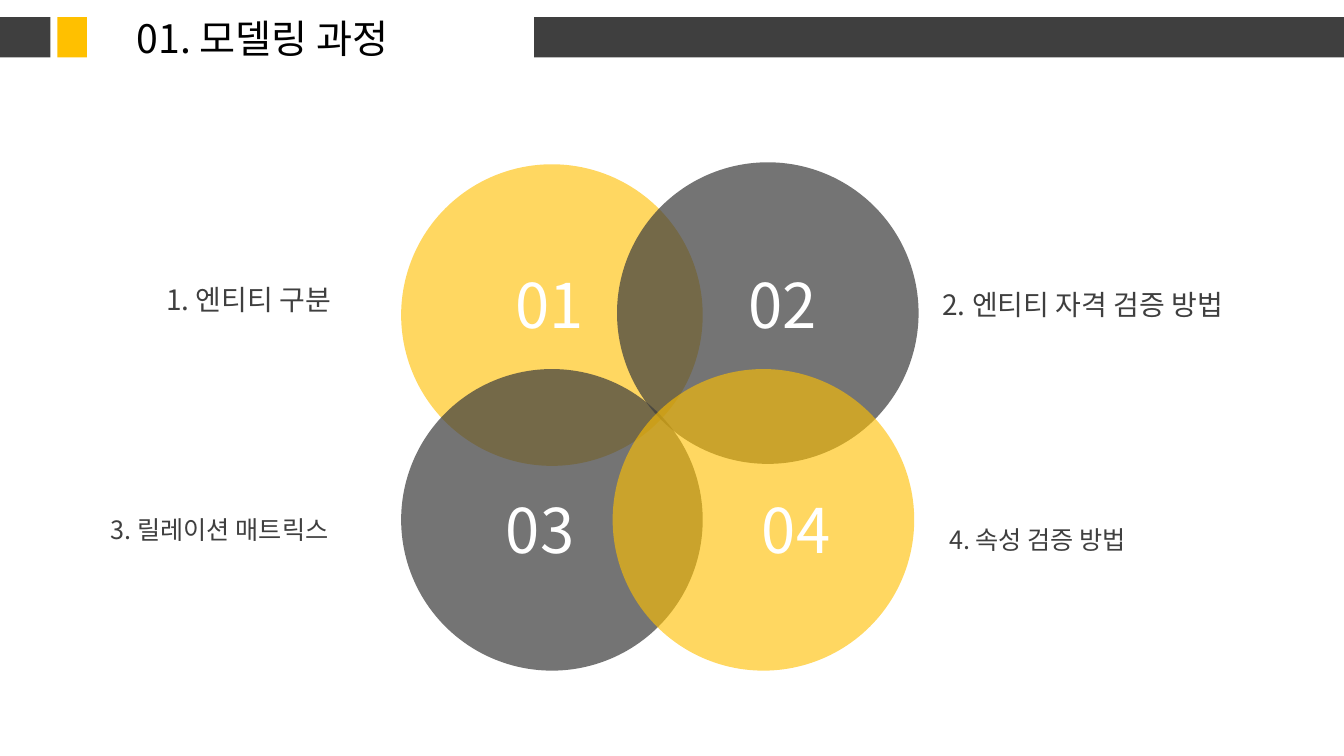
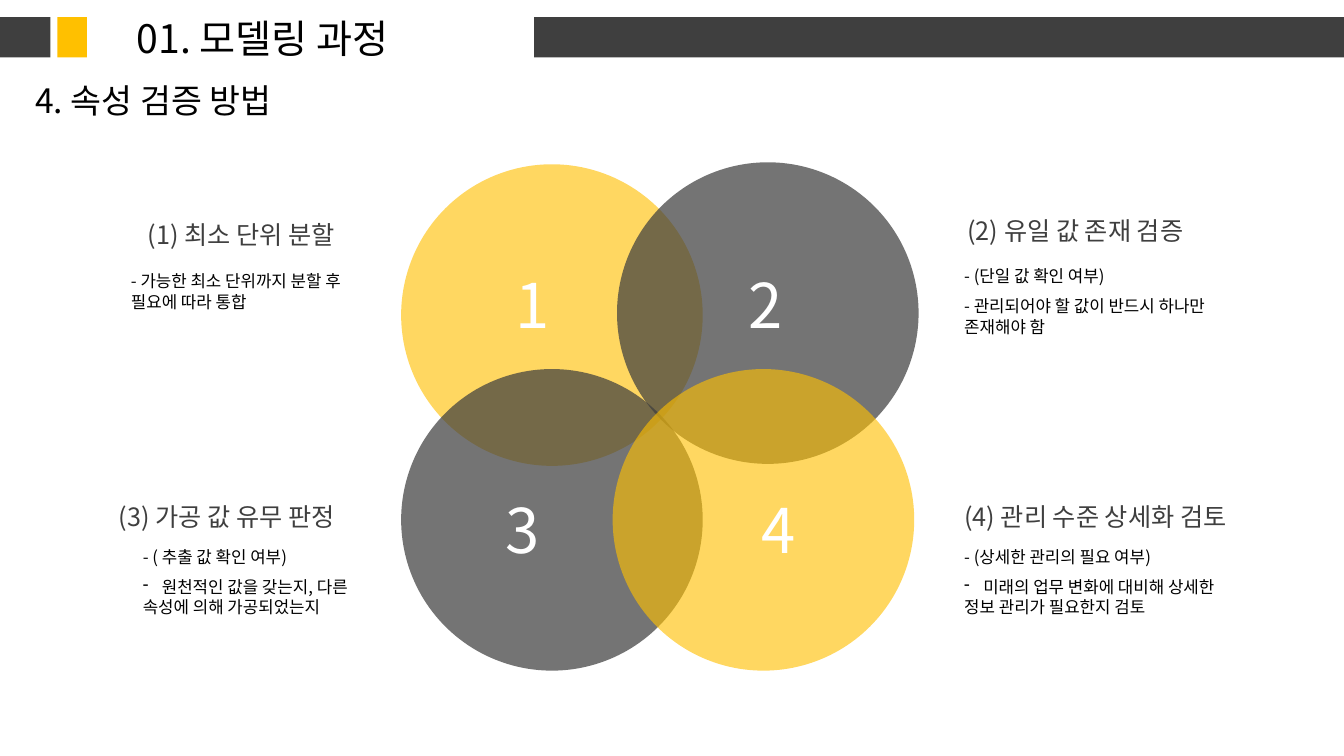
"""Build the two modeling process slides."""
from lxml.etree import SubElement
from pptx import Presentation
from pptx.dml.color import RGBColor
from pptx.enum.shapes import MSO_SHAPE
from pptx.enum.text import MSO_AUTO_SIZE, PP_ALIGN
from pptx.oxml.ns import qn
from pptx.util import Cm, Pt

FONT = "Noto Sans CJK KR"
DARK, GOLD, BLACK, WHITE = "3F3F3F", "FFC000", "000000", "FFFFFF"
SLIDE_WIDTH, SLIDE_HEIGHT = 33.87, 19.05
TITLE = "01. 모델링 과정"

STYLES = {
    "title": {"size": 28, "color": BLACK},
    "subtitle": {"size": 24, "color": BLACK},
    "number": {"size": 44, "color": WHITE},
    "label": {"size": 20, "color": DARK, "outlined": True},
    "heading": {"size": 18, "color": DARK, "outlined": True},
    "note": {"size": 12, "color": BLACK, "outlined": True},
}

BAND_TOP, BAND_HEIGHT = 0.43, 1.02
BANDS = [(13.46, 20.41, DARK), (0, 1.27, DARK), (1.45, 0.74, GOLD)]

VENN_BOX = (10.11, 4.09)
DIAMETER = 7.6
CIRCLES = [
    ((0, 0.05), (2.62, 2.51), GOLD, 62),
    ((5.44, 0), (8.51, 2.51), DARK, 72),
    ((0, 5.21), (2.39, 8.18), DARK, 72),
    ((5.33, 5.21), (8.84, 8.18), GOLD, 62),
]

LABELS = [
    ((23.5, 7.11, 8.81, 1.12), "2. 엔티티 자격 검증 방법", "label"),
    ((23.67, 13.08, 5.87, 1.02), "4. 속성 검증 방법", "heading"),
    ((3.94, 6.99, 5.26, 1.12), "1. 엔티티 구분", "label"),
    ((2.54, 12.83, 6.71, 1.02), "3. 릴레이션 매트릭스", "heading"),
]

NOTE_STEP, NOTE_LINE = 0.76, 0.51
TOPICS = [
    ((24.13, 5.31, 6.83), "(2) 유일 값 존재 검증", (-0.08, 1.27), [
        (4.75, ["- (단일 값 확인 여부)"], False),
        (7.49, ["- 관리되어야 할 값이 반드시 하나만", "존재해야 함"], False)]),
    ((24.05, 12.5, 8.13), "(4) 관리 수준 상세화 검토", (0, 1.14), [
        (6.05, ["- (상세한 관리의 필요 여부)"], False),
        (7.54, ["미래의 업무 변화에 대비해 상세한", "정보 관리가 필요한지 검토"], True)]),
    ((3.48, 5.41, 5.99), "(1) 최소 단위 분할", (-0.43, 1.3), [
        (6.63, ["- 가능한 최소 단위까지 분할 후", "필요에 따라 통합"], False)]),
    ((2.74, 12.5, 6.83), "(3) 가공 값 유무 판정", (0.61, 1.14), [
        (4.9, ["- ( 추출 값 확인 여부)"], False),
        (6.43, ["원천적인 값을 갖는지, 다른", "속성에 의해 가공되었는지"], True)]),
]


def rgb(hex_color):
    """Return the colour for a hex string."""
    return RGBColor.from_string(hex_color)


def add_panel(slide, kind, box, color, opacity=100):
    """Add a plain filled shape, see-through below 100 percent opacity."""
    panel = slide.shapes.add_shape(kind, *map(Cm, box))
    panel.shadow.inherit = False
    panel.line.fill.background()
    panel.fill.solid()
    panel.fill.fore_color.rgb = rgb(color)
    if opacity < 100:
        srgb = panel.fill._xPr.find(".//" + qn("a:srgbClr"))
        SubElement(srgb, qn("a:alpha"), val=str(opacity * 1000))


def outline_run(properties):
    """Give a run a faint dark outline."""
    outline = SubElement(properties, qn("a:ln"), w=str(Pt(0.75)))
    properties.insert(0, outline)
    fill = SubElement(outline, qn("a:solidFill"))
    srgb = SubElement(fill, qn("a:srgbClr"), val=DARK)
    SubElement(srgb, qn("a:alpha"), val="15000")


def add_dash(paragraph):
    """Give a paragraph a hanging dash bullet."""
    properties = paragraph._p.get_or_add_pPr()
    for key, value in {"marL": Cm(0.48), "indent": -Cm(0.48)}.items():
        properties.set(key, str(value))
    SubElement(properties, qn("a:buFontTx"))
    SubElement(properties, qn("a:buChar"), char="-")


def add_text(slide, box, lines, style, dashed=False):
    """Write lines in one style, the first with a dash if asked."""
    look = STYLES[style]
    frame = slide.shapes.add_textbox(*map(Cm, box)).text_frame
    for key, value in {"word_wrap": False,
                       "auto_size": MSO_AUTO_SIZE.SHAPE_TO_FIT_TEXT}.items():
        setattr(frame, key, value)
    for index, line in enumerate(lines):
        paragraph = frame.add_paragraph() if index else frame.paragraphs[0]
        paragraph.alignment = PP_ALIGN.LEFT
        if dashed and index == 0:
            add_dash(paragraph)
        run = paragraph.add_run()
        run.text = line
        for key, value in {"size": Pt(look["size"]), "name": FONT}.items():
            setattr(run.font, key, value)
        run.font.color.rgb = rgb(look["color"])
        properties = run._r.get_or_add_rPr()
        SubElement(properties, qn("a:ea"), typeface=FONT)
        if look.get("outlined"):
            outline_run(properties)


def add_header(slide):
    """Draw the bands across the top and the title between them."""
    for left, width, color in BANDS:
        add_panel(slide, MSO_SHAPE.RECTANGLE,
                  (left, BAND_TOP, width, BAND_HEIGHT), color)
    add_text(slide, (3.2, 0.23, 7.8, 1.45), [TITLE], "title")


def add_venn(slide, box, numbers, number_width):
    """Draw four overlapping circles, then their numbers on top."""
    left, top = box
    for (dx, dy), _, color, opacity in CIRCLES:
        add_panel(slide, MSO_SHAPE.OVAL,
                  (left + dx, top + dy, DIAMETER, DIAMETER), color, opacity)
    for (_, (dx, dy), _, _), number in zip(CIRCLES, numbers):
        add_text(slide, (left + dx, top + dy, number_width, 2.13),
                 [number], "number")


def add_topic(slide, box, heading, note_offset, notes):
    """Write a heading with its notes stacked below."""
    left, top, width = box
    dx, dy = note_offset
    add_text(slide, (left, top, width, 1.02), [heading], "heading")
    for index, (note_width, lines, dashed) in enumerate(notes):
        height = NOTE_STEP + NOTE_LINE * (len(lines) - 1)
        note_box = (left + dx, top + dy + index * NOTE_STEP, note_width, height)
        add_text(slide, note_box, lines, "note", dashed)


def build_overview(slide):
    """Show the four steps of the process."""
    add_header(slide)
    add_venn(slide, VENN_BOX, ["01", "02", "03", "04"], 2.46)
    for box, label, style in LABELS:
        add_text(slide, box, [label], style)


def build_attribute_checks(slide):
    """Show the four attribute checks with their notes."""
    add_header(slide)
    add_text(slide, (0.64, 1.88, 7.34, 1.27), ["4. 속성 검증 방법"], "subtitle")
    add_venn(slide, VENN_BOX, "1234", 1.5)
    for topic in TOPICS:
        add_topic(slide, *topic)


def main():
    """Build and save the presentation."""
    deck = Presentation()
    for key, value in {"slide_width": SLIDE_WIDTH,
                       "slide_height": SLIDE_HEIGHT}.items():
        setattr(deck, key, Cm(value))
    for build in (build_overview, build_attribute_checks):
        build(deck.slides.add_slide(deck.slide_layouts[6]))
    deck.save("out.pptx")


if __name__ == "__main__":
    main()
